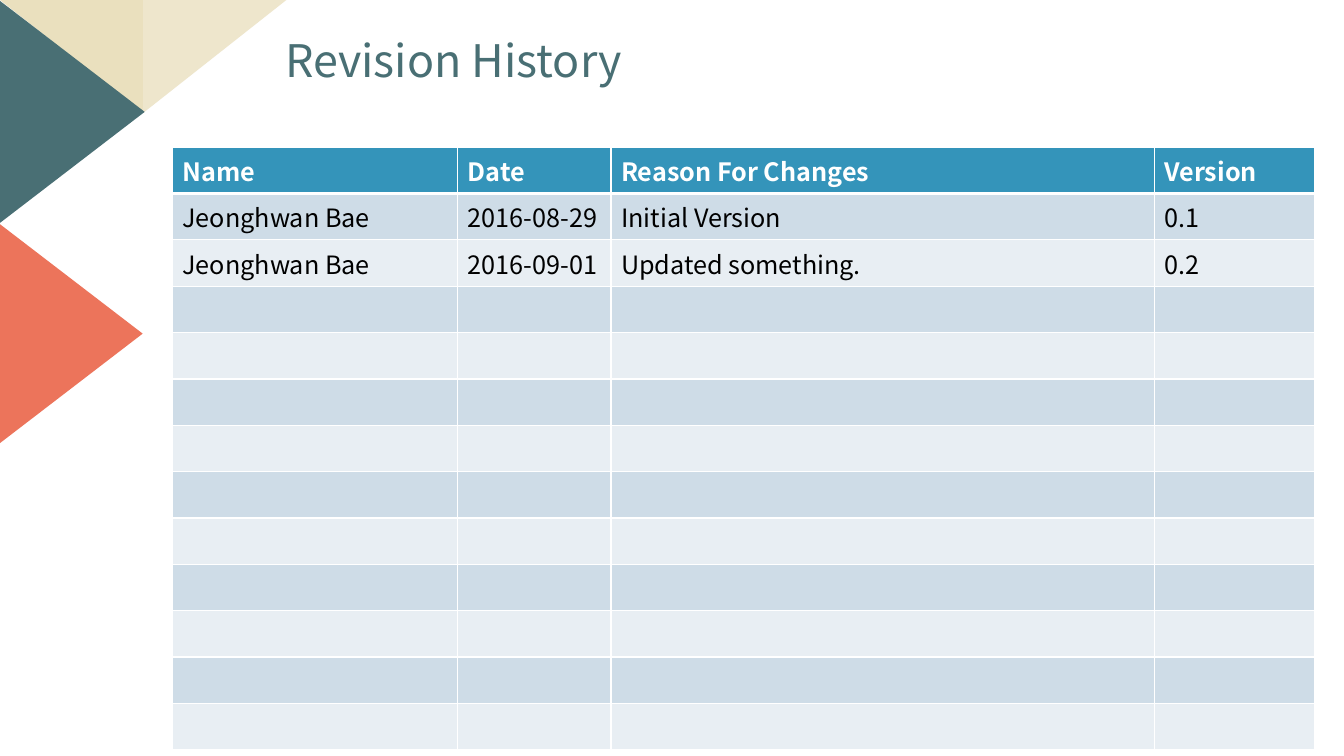
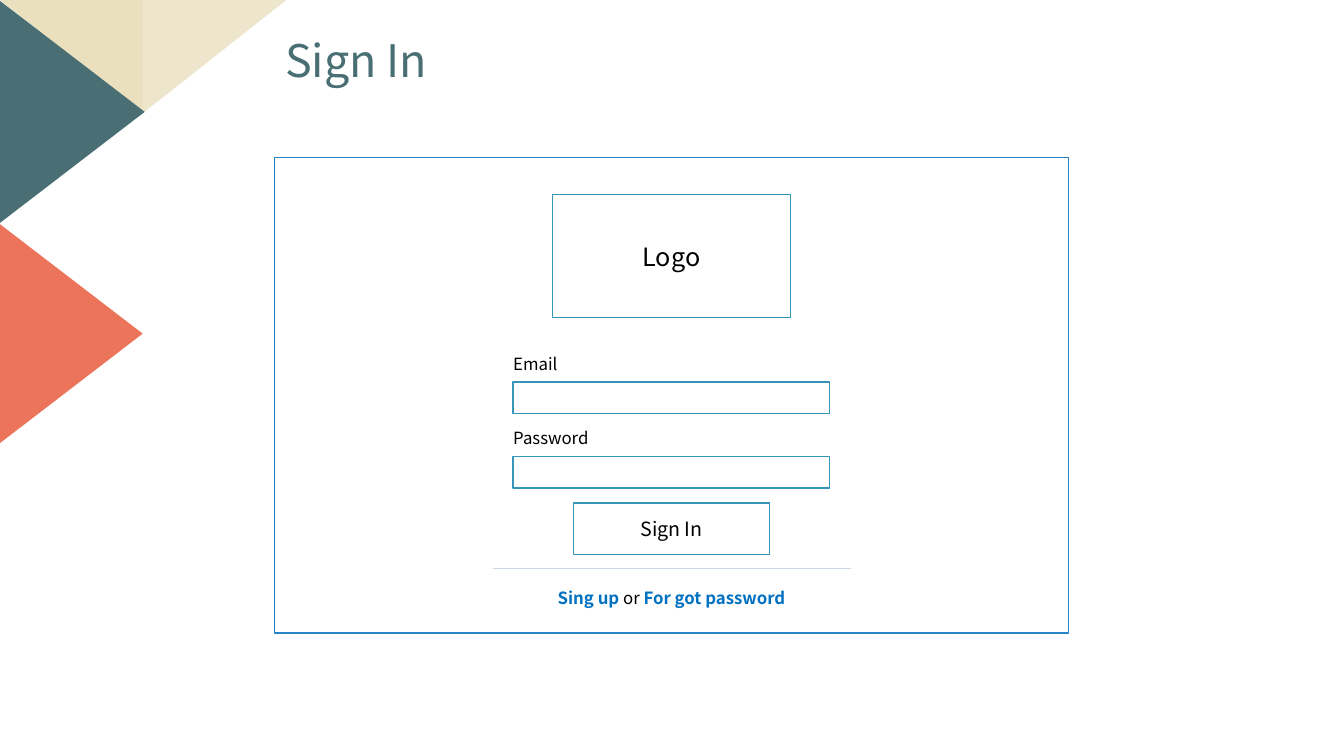
from dataclasses import dataclass

from lxml import etree
from pptx import Presentation
from pptx.dml.color import RGBColor
from pptx.enum.shapes import MSO_CONNECTOR as CONN, MSO_SHAPE as SHAPE
from pptx.enum.text import MSO_ANCHOR as ANCHOR, PP_ALIGN as ALIGN
from pptx.oxml.ns import qn
from pptx.util import Inches, Pt


@dataclass(frozen=True)
class Theme:
    font: str = "Noto Sans CJK KR"
    white: str = "FFFFFF"
    black: str = "000000"
    teal: str = "496F74"
    coral: str = "EC745B"
    sand: str = "EAE0BE"
    pale_sand: str = "EEE6CC"
    accent: str = "3494BA"
    frame: str = "2683C6"
    link: str = "0070C0"
    rule: str = "CEDBE6"
    bands: tuple = ("CEDCE7", "E8EEF3")
    title_size: int = 32
    body_size: int = 18
    button_size: int = 14
    label_size: int = 12


T = Theme()

CORNER_TRIANGLES = (
    (SHAPE.RIGHT_TRIANGLE, (0, 0, 1.42, 1.12), 180, T.sand),
    (SHAPE.RIGHT_TRIANGLE, (1.57, -0.15, 1.12, 1.42), 90, T.pale_sand),
    (SHAPE.ISOSCELES_TRIANGLE, (-0.39, 0.39, 2.21, 1.44), 90, T.teal),
    (SHAPE.ISOSCELES_TRIANGLE, (-0.41, 2.59, 2.21, 1.44), 90, T.coral),
)

COL_WIDTHS = (2.83, 1.52, 5.39, 1.59)
ROW_HEIGHT = 0.46
ROW_COUNT = 13
HISTORY = (
    ("Name", "Date", "Reason For Changes", "Version"),
    ("Jeonghwan Bae", "2016-08-29", "Initial Version", "0.1"),
    ("Jeonghwan Bae", "2016-09-01", "Updated something.", "0.2"),
)

FORM_CENTER = 6.66
FIELD_WIDTH = 3.14
FIELD_HEIGHT = 0.31
FIELD_STEP = 0.74


def rgb(value):
    return RGBColor.from_string(value)


def apply(obj, formats):
    for name, value in formats.items():
        setattr(obj, name, value)


def box(*lengths):
    return [Inches(v) for v in lengths]


def centered(top, width, height):
    return FORM_CENTER - width / 2, top, width, height


def add_run(p, text, size, color=T.black, bold=False):
    r = p.add_run()
    r.text = text
    apply(r.font, {"name": T.font, "size": Pt(size), "bold": bold})
    r.font.color.rgb = rgb(color)


def add_shape(s, kind, at, fill, line=None, rotation=0):
    sp = s.shapes.add_shape(kind, *box(*at))
    sp.shadow.inherit = False
    sp.rotation = rotation
    sp.fill.solid()
    sp.fill.fore_color.rgb = rgb(fill)
    if line:
        sp.line.color.rgb = rgb(line)
        sp.line.width = Pt(1)
    else:
        sp.line.fill.background()
    return sp


def add_frame(s, at, line=T.accent, text="", size=T.body_size):
    sp = add_shape(s, SHAPE.RECTANGLE, at, T.white, line)
    if text:
        sp.text_frame.vertical_anchor = ANCHOR.MIDDLE
        p = sp.text_frame.paragraphs[0]
        p.alignment = ALIGN.CENTER
        add_run(p, text, size)


def add_text(s, at, runs, size, frame=None, paragraph=None):
    tf = s.shapes.add_textbox(*box(*at)).text_frame
    apply(tf, {"word_wrap": True, "vertical_anchor": ANCHOR.MIDDLE, **(frame or {})})
    p = tf.paragraphs[0]
    apply(p, paragraph or {})
    for text, color, bold in runs:
        add_run(p, text, size, color, bold)


def add_rule(s, at, width):
    x, y = at
    line = s.shapes.add_connector(CONN.STRAIGHT, *box(x, y, x + width, y))
    line.line.color.rgb = rgb(T.rule)
    line.line.width = Pt(0.5)
    etree.SubElement(line._element.spPr, qn("a:effectLst"))


def set_borders(cell, widths):
    tc_pr = cell._tc.get_or_add_tcPr()
    for side, width in widths.items():
        ln = etree.SubElement(tc_pr, qn(f"a:ln{side}"), w=str(Pt(width)))
        fill = etree.SubElement(ln, qn("a:solidFill"))
        etree.SubElement(fill, qn("a:srgbClr"), val=T.white)


def style_cell(cell, row):
    top, bottom = (3 if row == 1 else 1), (3 if row == 0 else 1)
    set_borders(cell, {"L": 1, "R": 1, "T": top, "B": bottom})
    cell.fill.solid()
    cell.fill.fore_color.rgb = rgb(T.bands[(row - 1) % 2] if row else T.accent)


def add_history_table(s, left, top):
    size = box(left, top, sum(COL_WIDTHS), ROW_COUNT * ROW_HEIGHT)
    table = s.shapes.add_table(ROW_COUNT, len(COL_WIDTHS), *size).table
    for col, width in zip(table.columns, COL_WIDTHS):
        col.width = Inches(width)
    for i, row in enumerate(table.rows):
        row.height = Inches(ROW_HEIGHT)
        for cell in row.cells:
            style_cell(cell, i)
    for i, values in enumerate(HISTORY):
        for j, value in enumerate(values):
            p = table.cell(i, j).text_frame.paragraphs[0]
            add_run(p, value, T.body_size, T.black if i else T.white, i == 0)


def add_field(s, top, label):
    left = FORM_CENTER - FIELD_WIDTH / 2
    add_text(s, (left, top, 2.15, FIELD_HEIGHT), [(label, T.black, False)],
             T.label_size, {"margin_left": 0})
    add_frame(s, (left, top + 0.34, FIELD_WIDTH, FIELD_HEIGHT))


def add_slide(prs, title):
    s = prs.slides.add_slide(prs.slide_layouts[6])
    for kind, at, rotation, fill in CORNER_TRIANGLES:
        add_shape(s, kind, at, fill, rotation=rotation)
    add_text(s, (2.73, 0.33, 6.06, 0.59), [(title, T.teal, False)], T.title_size,
             paragraph={"line_spacing": 0.9, "space_before": Pt(10)})
    return s


def build_history(prs):
    s = add_slide(prs, "Revision History")
    add_history_table(s, 1.71, 1.46)


def build_sign_in(prs):
    s = add_slide(prs, "Sign In")
    add_frame(s, centered(1.56, 7.87, 4.72), T.frame)
    add_frame(s, centered(1.93, 2.36, 1.22), text="Logo")
    for i, label in enumerate(("Email", "Password")):
        add_field(s, 3.45 + i * FIELD_STEP, label)
    add_frame(s, centered(4.99, 1.95, 0.51), text="Sign In", size=T.button_size)
    add_rule(s, (4.89, 5.64), 3.55)
    links = [("Sing up", T.link, True), (" or ", T.black, False),
             ("For got password", T.link, True)]
    add_text(s, centered(5.78, 3.15, 0.31), links, T.label_size,
             paragraph={"alignment": ALIGN.CENTER})


def main():
    prs = Presentation()
    apply(prs, {"slide_width": Inches(13.33), "slide_height": Inches(7.5)})
    build_history(prs)
    build_sign_in(prs)
    prs.save("out.pptx")


if __name__ == "__main__":
    main()
